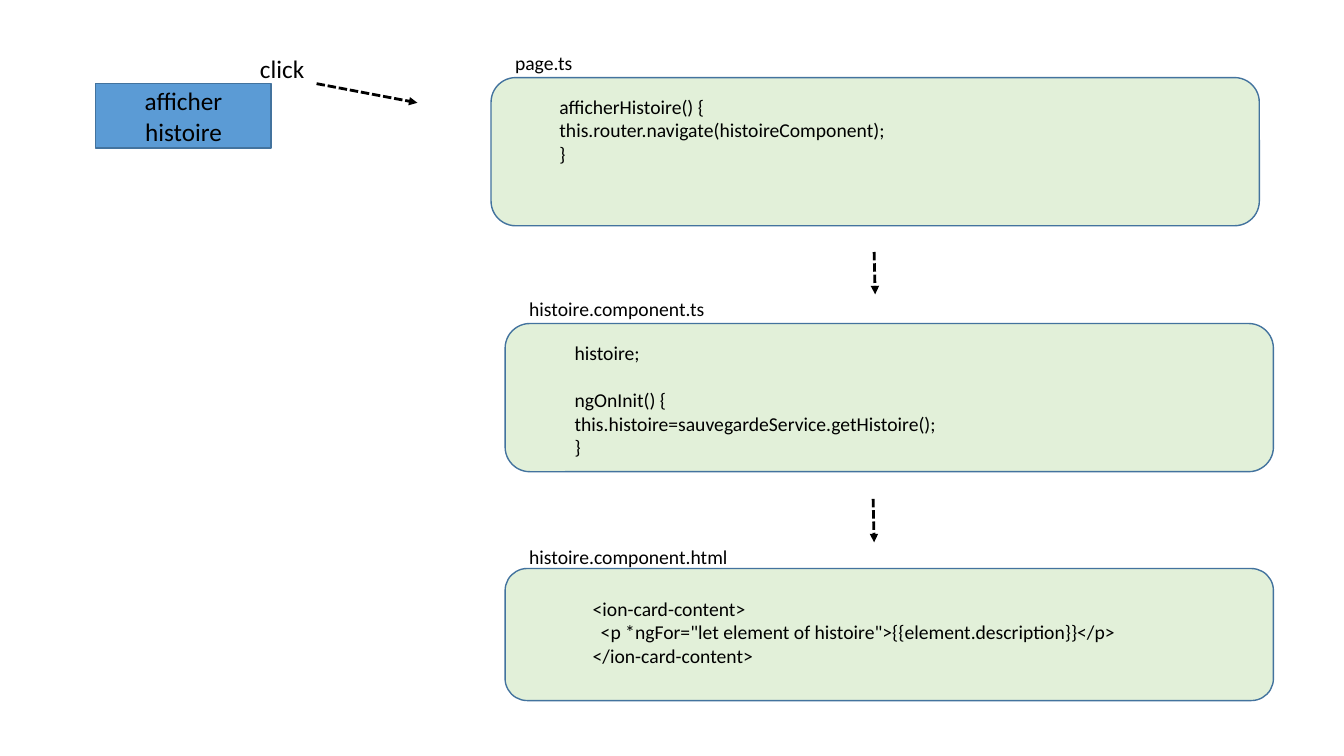
from dataclasses import dataclass

from lxml import etree
from pptx import Presentation
from pptx.dml.color import RGBColor
from pptx.enum import dml, shapes, text
from pptx.oxml import ns
from pptx.util import Inches, Pt

COLORS = {"panel": "E2F0D9", "button": "5B9BD5", "border": "43739E", "ink": "000000"}
FONT = "Calibri"
CODE_SIZE, CLICK_SIZE = 14, 18


@dataclass
class Line:
    text: str
    indent: float = 0
    before: float = 0


@dataclass
class Box:
    left: float
    top: float
    width: float
    height: float

    def lengths(self) -> list:
        return [Inches(v) for v in (self.left, self.top, self.width, self.height)]


@dataclass
class CodePanel:
    frame: Box
    title: str
    title_box: Box
    code: list[Line]
    code_box: Box


@dataclass
class Arrow:
    x1: float
    y1: float
    x2: float
    y2: float


PANELS = [
    CodePanel(
        Box(4.87, 0.77, 7.62, 1.47), "page.ts", Box(5.01, 0.46, 0.78, 0.34),
        [Line("afficherHistoire() {"),
         Line("this.router.navigate(histoireComponent);"),
         Line("}")],
        Box(5.45, 0.89, 3.5, 0.81)),
    CodePanel(
        Box(5.01, 3.21, 7.62, 1.47), "histoire.component.ts", Box(5.15, 2.9, 1.96, 0.38),
        [Line("histoire;"),
         Line("ngOnInit() {", before=17),
         Line("this.histoire=sauvegardeService.getHistoire();"),
         Line("}")],
        Box(5.6, 3.33, 3.83, 1.28)),
    CodePanel(
        Box(5.01, 5.64, 7.62, 1.31), "histoire.component.html", Box(5.15, 5.36, 2.19, 0.34),
        [Line("<ion-card-content>", 0.18),
         Line('<p *ngFor="let element of histoire">{{element.description}}</p>', 0.26),
         Line("</ion-card-content>", 0.18)],
        Box(5.6, 5.87, 5.62, 0.81)),
]
ARROWS = [
    Arrow(3.14, 0.83, 4.14, 1.02),
    Arrow(8.67, 2.5, 8.68, 2.92),
    Arrow(8.66, 4.95, 8.67, 5.38),
]


def rgb(name: str) -> RGBColor:
    return RGBColor.from_string(COLORS[name])


def apply(target, formats: dict) -> None:
    for name, value in formats.items():
        setattr(target, name, value)


def write(tf, lines: list[Line], size: float, align=text.PP_ALIGN.LEFT) -> None:
    for i, line in enumerate(lines):
        p = tf.paragraphs[0] if i == 0 else tf.add_paragraph()
        apply(p, {"alignment": align, "space_before": Pt(line.before)})
        if line.indent:
            p._p.get_or_add_pPr().set("marL", str(Inches(line.indent)))
        r = p.add_run()
        r.text = line.text
        apply(r.font, {"name": FONT, "size": Pt(size)})
        r.font.color.rgb = rgb("ink")


def add_label(s, box: Box, lines: list[Line], size: float) -> None:
    tf = s.shapes.add_textbox(*box.lengths()).text_frame
    apply(tf, {"word_wrap": False, "auto_size": text.MSO_AUTO_SIZE.SHAPE_TO_FIT_TEXT})
    write(tf, lines, size)


def add_block(s, kind, box: Box, fill: str):
    sp = s.shapes.add_shape(kind, *box.lengths())
    sp.shadow.inherit = False
    sp.fill.solid()
    sp.fill.fore_color.rgb = rgb(fill)
    sp.line.color.rgb = rgb("border")
    sp.line.width = Pt(1)
    return sp


def add_panel(s, panel: CodePanel) -> None:
    add_block(s, shapes.MSO_SHAPE.ROUNDED_RECTANGLE, panel.frame, "panel")
    add_label(s, panel.code_box, panel.code, CODE_SIZE)
    add_label(s, panel.title_box, [Line(panel.title)], CODE_SIZE)


def add_arrow(s, arrow: Arrow) -> None:
    ends = [Inches(v) for v in (arrow.x1, arrow.y1, arrow.x2, arrow.y2)]
    cx = s.shapes.add_connector(shapes.MSO_CONNECTOR.STRAIGHT, *ends)
    cx.line.color.rgb = rgb("ink")
    apply(cx.line, {"width": Pt(2), "dash_style": dml.MSO_LINE.SQUARE_DOT})
    # Arrowhead, and no shadow
    etree.SubElement(cx.line._get_or_add_ln(), ns.qn("a:tailEnd"), type="triangle")
    etree.SubElement(cx._element.spPr, ns.qn("a:effectLst"))


def main() -> None:
    prs = Presentation()
    apply(prs, {"slide_width": Inches(13.33), "slide_height": Inches(7.5)})
    s = prs.slides.add_slide(prs.slide_layouts[6])

    # Button and its click
    button = add_block(s, shapes.MSO_SHAPE.RECTANGLE, Box(0.95, 0.83, 1.74, 0.64), "button")
    tf = button.text_frame
    apply(tf, {"word_wrap": True, "vertical_anchor": text.MSO_ANCHOR.MIDDLE})
    write(tf, [Line("afficher histoire")], CLICK_SIZE, text.PP_ALIGN.CENTER)
    add_label(s, Box(2.48, 0.48, 0.65, 0.4), [Line("click")], CLICK_SIZE)

    # Code panels and the flow between them
    for panel in PANELS:
        add_panel(s, panel)
    for arrow in ARROWS:
        add_arrow(s, arrow)

    prs.save("out.pptx")


if __name__ == "__main__":
    main()
